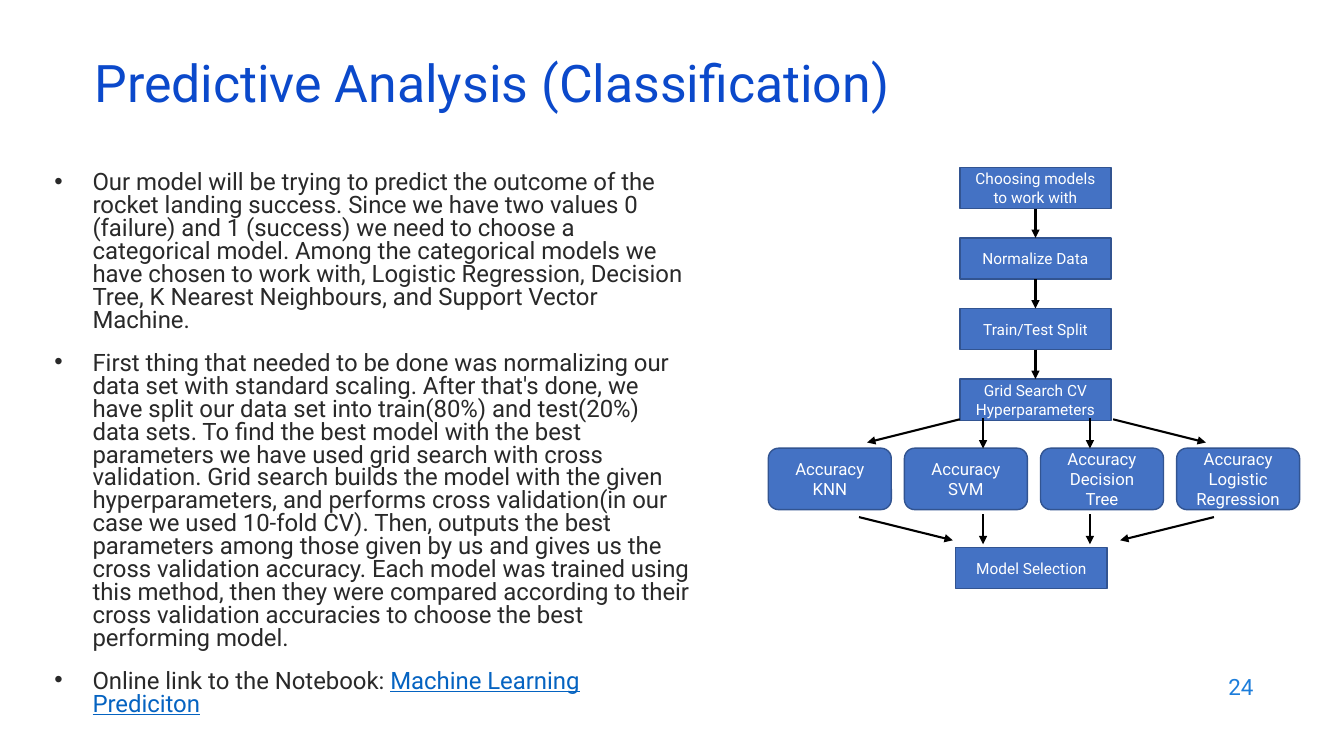
from lxml import etree
from pptx import Presentation
from pptx.dml.color import RGBColor
from pptx.enum.shapes import MSO_CONNECTOR, MSO_SHAPE
from pptx.enum.text import MSO_ANCHOR, PP_ALIGN
from pptx.oxml.ns import qn
from pptx.util import Inches, Pt

LEFT, MID, RIGHT = PP_ALIGN.LEFT, PP_ALIGN.CENTER, PP_ALIGN.RIGHT
BOX, CARD = MSO_SHAPE.FLOWCHART_PROCESS, MSO_SHAPE.FLOWCHART_ALTERNATE_PROCESS
STRAIGHT = MSO_CONNECTOR.STRAIGHT
MIDDLE = MSO_ANCHOR.MIDDLE
AXIS, TOP, ROW, COL = 10.28, 1.66, 0.7, 1.35

prs = Presentation()
prs.slide_width, prs.slide_height = Inches(13.33), Inches(7.5)
slide = prs.slides.add_slide(prs.slide_layouts[6])
shapes = slide.shapes


def write(par, text, size, color, align=LEFT):
    run = par.add_run()
    run.text = text
    par.alignment = align
    for key, val in {"name": "Roboto", "size": Pt(size)}.items():
        setattr(run.font, key, val)
    run.font.color.rgb = RGBColor.from_string(color)
    return run


def arrow(x1, y1, x2, y2):
    line = shapes.add_connector(STRAIGHT, *map(Inches, (x1, y1, x2, y2)))
    line.line.width = Pt(1.5)
    line.line.color.rgb = RGBColor.from_string("000000")
    etree.SubElement(line.line._get_or_add_ln(), qn("a:tailEnd"), type="triangle")
    etree.SubElement(line._element.spPr, qn("a:effectLst"))
    return line


# Title and page number
for text, spot, size, color, align, space in (
    ("Predictive Analysis (Classification)", (0.84, 0.59, 11.5, 0.6), 37, "0B49CB", LEFT, 0.7),
    ("24", (9.53, 6.59, 3, 0.44), 16, "1C7DDB", RIGHT, 1.0),
):
    frame = shapes.add_textbox(*map(Inches, spot)).text_frame
    frame.word_wrap, frame.vertical_anchor = True, MIDDLE
    par = frame.paragraphs[0]
    par.line_spacing = space
    write(par, text, size, color, align)

# Body text
points = (
    "Our model will be trying to predict the outcome of the rocket landing success. "
    "Since we have two values 0 (failure) and 1 (success) we need to choose a categorical "
    "model. Among the categorical models we have chosen to work with, Logistic Regression, "
    "Decision Tree, K Nearest Neighbours, and Support Vector Machine.",
    "First thing that needed to be done was normalizing our data set with standard scaling. "
    "After that's done, we have split our data set into train(80%) and test(20%) data sets. "
    "To find the best model with the best parameters we have used grid search with cross "
    "validation. Grid search builds the model with the given hyperparameters, and performs "
    "cross validation(in our case we used 10-fold CV). Then, outputs the best parameters "
    "among those given by us and gives us the cross validation accuracy. Each model was "
    "trained using this method, then they were compared according to their cross validation "
    "accuracies to choose the best performing model.",
    "Online link to the Notebook: ",
)
body = shapes.add_textbox(*map(Inches, (0.44, 1.66, 6.53, 5.15))).text_frame
body.word_wrap = True
body.margin_right = Inches(0.13)
for i, text in enumerate(points):
    par = body.add_paragraph() if i else body.paragraphs[0]
    par.line_spacing = 0.8
    par.space_before = Pt(14 if i else 0)
    props = par._p.get_or_add_pPr()
    props.set("marL", str(Inches(0.38)))
    props.set("indent", str(-Inches(0.38)))
    etree.SubElement(props, qn("a:buFont"), typeface="Arial")
    etree.SubElement(props, qn("a:buChar"), char="•")
    write(par, text, 17.1, "292929")
write(par, "Machine Learning Prediciton", 17.1, "0563C1").font.underline = True

# Flow chart: steps down the axis, four model cards, final choice
steps = ("Choosing models to work with", "Normalize Data", "Train/Test Split",
         "Grid Search CV Hyperparameters")
cards = ("Accuracy KNN", "Accuracy SVM", "Accuracy Decision Tree",
         "Accuracy Logistic Regression")
nodes = [(BOX, text, AXIS - 0.76, TOP + i * ROW, 1.5, 0.41, 11)
         for i, text in enumerate(steps)]
nodes += [(CARD, text, AXIS + 0.04 + (i - 2) * COL, TOP + 3.98 * ROW, 1.22, 0.61, 12)
          for i, text in enumerate(cards)]
nodes.append((BOX, "Model Selection", AXIS - 0.8, 5.43, 1.5, 0.41, 11))

drawn = []
for kind, text, x, y, w, h, size in nodes:
    node = shapes.add_shape(kind, *map(Inches, (x, y, w, h)))
    node.shadow.inherit = False
    node.fill.solid()
    node.fill.fore_color.rgb = RGBColor.from_string("4472C4")
    node.line.color.rgb = RGBColor.from_string("325491")
    node.line.width = Pt(1)
    node.text_frame.word_wrap = True
    node.text_frame.vertical_anchor = MIDDLE
    write(node.text_frame.paragraphs[0], text, size, "FFFFFF", MID)
    drawn.append(node)

chain = drawn[:len(steps)]
for upper, lower in zip(chain, chain[1:]):
    link = arrow(AXIS, TOP, AXIS, TOP + ROW)
    link.begin_connect(upper, 2)
    link.end_connect(lower, 0)

# Arrows mirrored about the axis: start offset, start y, end offset, end y
for side in (-1, 1):
    for dx1, y1, dx2, y2 in (
        (0.53, 4.15, 0.53, 4.45), (0.76, 4.16, 1.68, 4.39),
        (0.53, 5.1, 0.53, 5.4), (1.76, 5.13, 0.83, 5.36),
    ):
        arrow(AXIS + side * dx1, y1, AXIS + side * dx2, y2)

prs.save("out.pptx")
